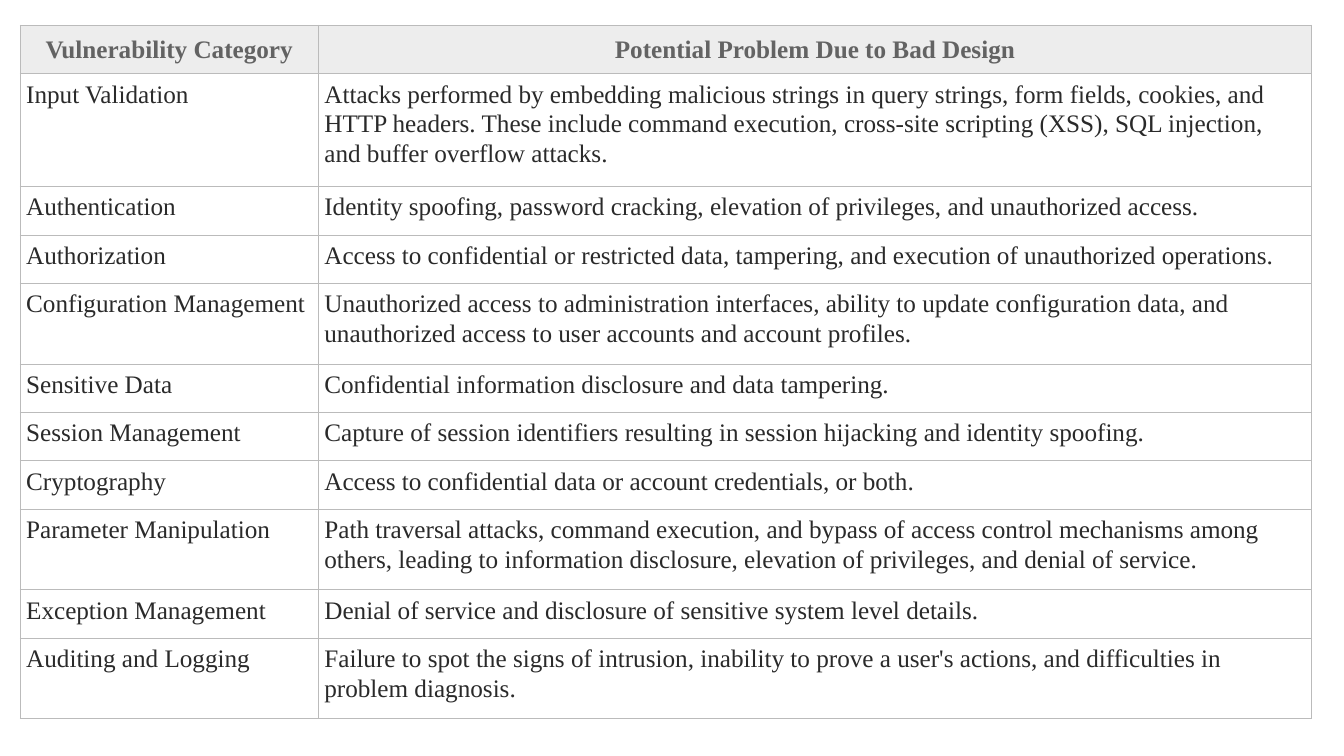
"""Build a slide with a table of vulnerability categories and their design problems."""
from dataclasses import dataclass

from lxml.etree import SubElement
from pptx import Presentation
from pptx.dml.color import RGBColor
from pptx.enum.text import MSO_ANCHOR as Anchor, PP_ALIGN as Align
from pptx.oxml.ns import qn
from pptx.util import Emu, Pt

EMU_PER_PX = 9144
PAGE_SIZE = (1334, 750)
TABLE_ORIGIN = (20, 25)
COLUMN_WIDTHS = (296, 986)
ROW_PADDING, LINE_HEIGHT = 16, 32
CELL_INSET_X, CELL_INSET_Y = 6, 5

FONT_NAME = "Times New Roman"
FONT_SIZE = Pt(18)
LINE_SPACING = 1.07
BORDER_WIDTH = Pt(0.45)
HEADER_FILL = RGBColor(0xED, 0xED, 0xED)
HEADER_TEXT = RGBColor(0x63, 0x63, 0x63)
BODY_TEXT = RGBColor(0x2A, 0x2A, 0x2A)
BORDER = RGBColor(0xBB, 0xBB, 0xBB)


@dataclass(frozen=True)
class Vulnerability:
    category: str
    problem: str
    lines: int = 1
    header: bool = False

    @property
    def height(self) -> int:
        return ROW_PADDING + LINE_HEIGHT * self.lines


ROWS = (
    Vulnerability("Vulnerability Category", "Potential Problem Due to Bad Design", header=True),
    Vulnerability(
        "Input Validation",
        "Attacks performed by embedding malicious strings in query strings, form fields, "
        "cookies, and HTTP headers. These include command execution, cross-site scripting "
        "(XSS), SQL injection, and buffer overflow attacks.",
        lines=3,
    ),
    Vulnerability(
        "Authentication",
        "Identity spoofing, password cracking, elevation of privileges, and unauthorized access.",
    ),
    Vulnerability(
        "Authorization",
        "Access to confidential or restricted data, tampering, and execution of "
        "unauthorized operations.",
    ),
    Vulnerability(
        "Configuration Management",
        "Unauthorized access to administration interfaces, ability to update configuration "
        "data, and unauthorized access to user accounts and account profiles.",
        lines=2,
    ),
    Vulnerability("Sensitive Data", "Confidential information disclosure and data tampering."),
    Vulnerability(
        "Session Management",
        "Capture of session identifiers resulting in session hijacking and identity spoofing.",
    ),
    Vulnerability("Cryptography", "Access to confidential data or account credentials, or both."),
    Vulnerability(
        "Parameter Manipulation",
        "Path traversal attacks, command execution, and bypass of access control mechanisms "
        "among others, leading to information disclosure, elevation of privileges, and "
        "denial of service.",
        lines=2,
    ),
    Vulnerability(
        "Exception Management",
        "Denial of service and disclosure of sensitive system level details.",
    ),
    Vulnerability(
        "Auditing and Logging",
        "Failure to spot the signs of intrusion, inability to prove a user's actions, and "
        "difficulties in problem diagnosis.",
        lines=2,
    ),
)


def px(length: int) -> Emu:
    return Emu(length * EMU_PER_PX)


def add_borders(cell) -> None:
    properties = cell._tc.get_or_add_tcPr()
    for index, side in enumerate(("lnL", "lnR", "lnT", "lnB")):
        line = SubElement(properties, qn(f"a:{side}"), w=str(int(BORDER_WIDTH)))
        fill = SubElement(line, qn("a:solidFill"))
        SubElement(fill, qn("a:srgbClr"), val=str(BORDER))
        properties.insert(index, line)


def fill_cell(cell, text: str, header: bool) -> None:
    cell.margin_left = cell.margin_right = px(CELL_INSET_X)
    cell.margin_top = cell.margin_bottom = px(CELL_INSET_Y)
    cell.vertical_anchor = Anchor.MIDDLE if header else Anchor.TOP
    if header:
        cell.fill.solid()
        cell.fill.fore_color.rgb = HEADER_FILL
    else:
        cell.fill.background()
    add_borders(cell)

    cell.text = text
    para = cell.text_frame.paragraphs[0]
    para.alignment = Align.CENTER if header else Align.LEFT
    para.line_spacing = LINE_SPACING
    para.font.name = FONT_NAME
    para.font.size = FONT_SIZE
    para.font.bold = header
    para.font.color.rgb = HEADER_TEXT if header else BODY_TEXT


def add_vulnerability_table(page) -> None:
    left, top = TABLE_ORIGIN
    width, height = sum(COLUMN_WIDTHS), sum(row.height for row in ROWS)
    table = page.shapes.add_table(
        len(ROWS), len(COLUMN_WIDTHS), px(left), px(top), px(width), px(height)
    ).table
    table.horz_banding = False
    for column, column_width in zip(table.columns, COLUMN_WIDTHS):
        column.width = px(column_width)
    for table_row, row in zip(table.rows, ROWS):
        table_row.height = px(row.height)
        for cell, text in zip(table_row.cells, (row.category, row.problem)):
            fill_cell(cell, text, row.header)


def main() -> None:
    deck = Presentation()
    deck.slide_width, deck.slide_height = map(px, PAGE_SIZE)
    page = deck.slides.add_slide(deck.slide_layouts[6])
    add_vulnerability_table(page)
    deck.save("out.pptx")


if __name__ == "__main__":
    main()
